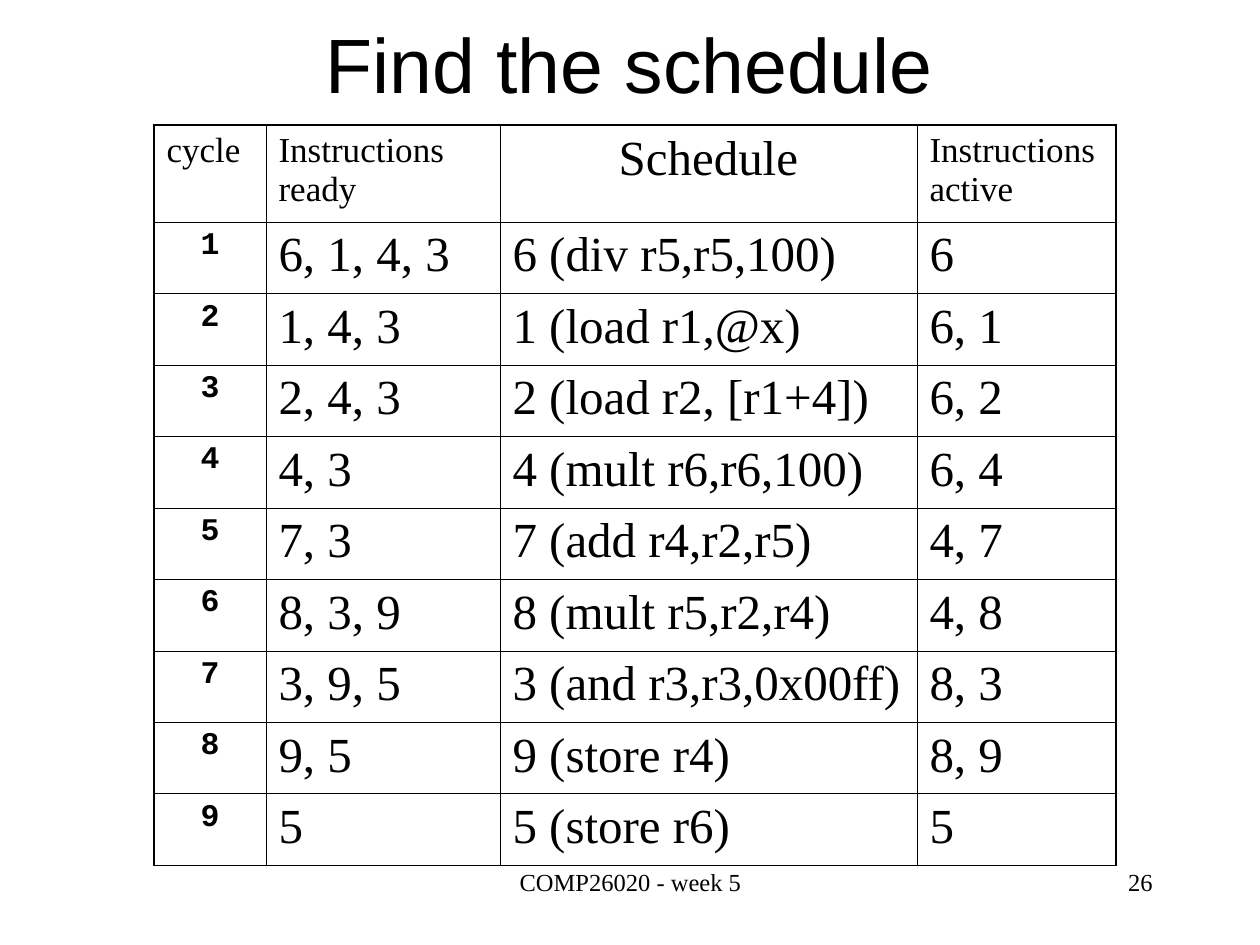
"""Build the instruction scheduling table slide."""
from dataclasses import dataclass

from lxml.etree import SubElement
from pptx import Presentation
from pptx.dml.color import RGBColor
from pptx.enum.text import MSO_ANCHOR as Anchor, MSO_AUTO_SIZE as AutoSize, PP_ALIGN as Align
from pptx.oxml.ns import qn
from pptx.util import Pt

TITLE = "Find the schedule"
FOOTER = "COMP26020 - week 5"
PAGE_NUMBER = "26"
HEADINGS = ["cycle", "Instructions ready", "Schedule", "Instructions active"]
CYCLES = [
    ("6, 1, 4, 3", "6 (div r5,r5,100)", "6"),
    ("1, 4, 3", "1 (load r1,@x)", "6, 1"),
    ("2, 4, 3", "2 (load r2, [r1+4])", "6, 2"),
    ("4, 3", "4 (mult r6,r6,100)", "6, 4"),
    ("7, 3", "7 (add r4,r2,r5)", "4, 7"),
    ("8, 3, 9", "8 (mult r5,r2,r4)", "4, 8"),
    ("3, 9, 5", "3 (and r3,r3,0x00ff)", "8, 3"),
    ("9, 5", "9 (store r4)", "8, 9"),
    ("5", "5 (store r6)", "5"),
]


@dataclass(frozen=True)
class Theme:
    ink: str = "000000"
    sans: str = "Arial"
    serif: str = "Times New Roman"
    mono: str = "Courier New"
    title: int = 44
    body: int = 28
    heading: int = 20
    cycle: int = 18
    footer: int = 14
    outer_line: float = 1.08
    inner_line: float = 0.45


THEME = Theme()
SCALE = 914400 / 126
SLIDE_SIZE = (1260, 945)
TITLE_BOX = (94, 0, 1071, 125)
FOOTER_BOX = (431, 861, 399, 63)
NUMBER_BOX = (903, 861, 262, 63)
TABLE_LEFT, TABLE_TOP, TABLE_HEIGHT = 154, 125, 740
COLUMN_WIDTHS = [112, 234, 417, 199]
HEADING_HEIGHT = 97


def emu(px):
    return round(px * SCALE)


def write(frame, text, *, size, font=THEME.serif, bold=False, align=Align.LEFT):
    frame.word_wrap = True
    paragraph = frame.paragraphs[0]
    paragraph.alignment = align
    run = paragraph.add_run()
    run.text = text
    run.font.name, run.font.size, run.font.bold = font, Pt(size), bold
    run.font.color.rgb = RGBColor.from_string(THEME.ink)


def draw_border(cell, side, width):
    line = SubElement(cell._tc.get_or_add_tcPr(), qn(f"a:{side}"), w=str(Pt(width)))
    SubElement(SubElement(line, qn("a:solidFill")), qn("a:srgbClr"), val=THEME.ink)


def cell_format(row, column):
    if row and not column:
        return dict(size=THEME.cycle, font=THEME.mono, bold=True, align=Align.CENTER)
    if row:
        return dict(size=THEME.body)
    if HEADINGS[column] == "Schedule":
        return dict(size=THEME.body, align=Align.CENTER)
    return dict(size=THEME.heading)


def add_schedule(slide):
    rows = [HEADINGS] + [(str(n), *entry) for n, entry in enumerate(CYCLES, 1)]
    last_row, last_column = len(rows) - 1, len(HEADINGS) - 1
    cycle_height = (TABLE_HEIGHT - HEADING_HEIGHT) / len(CYCLES)
    schedule = slide.shapes.add_table(
        len(rows), len(HEADINGS), emu(TABLE_LEFT), emu(TABLE_TOP),
        emu(sum(COLUMN_WIDTHS)), emu(TABLE_HEIGHT)).table
    schedule.first_row = schedule.horz_banding = False
    for column, width in zip(schedule.columns, COLUMN_WIDTHS):
        column.width = emu(width)
    for r, entries in enumerate(rows):
        schedule.rows[r].height = emu(cycle_height if r else HEADING_HEIGHT)
        for c, entry in enumerate(entries):
            cell = schedule.cell(r, c)
            write(cell.text_frame, entry, **cell_format(r, c))
            edges = {"lnL": c == 0, "lnR": c == last_column,
                     "lnT": r == 0, "lnB": r == last_row}
            for side, outer in edges.items():
                draw_border(cell, side, THEME.outer_line if outer else THEME.inner_line)
            cell.fill.background()


def main():
    deck = Presentation()
    deck.slide_width, deck.slide_height = map(emu, SLIDE_SIZE)
    slide = deck.slides.add_slide(deck.slide_layouts[5])

    title = slide.shapes.title
    title.left, title.top, title.width, title.height = map(emu, TITLE_BOX)
    title.text_frame.auto_size = AutoSize.NONE
    title.text_frame.vertical_anchor = Anchor.MIDDLE
    write(title.text_frame, TITLE, size=THEME.title, font=THEME.sans, align=Align.CENTER)

    for text, box, align in [(FOOTER, FOOTER_BOX, Align.CENTER),
                             (PAGE_NUMBER, NUMBER_BOX, Align.RIGHT)]:
        note = slide.shapes.add_textbox(*map(emu, box))
        write(note.text_frame, text, size=THEME.footer, align=align)

    add_schedule(slide)
    deck.save("out.pptx")


if __name__ == "__main__":
    main()
